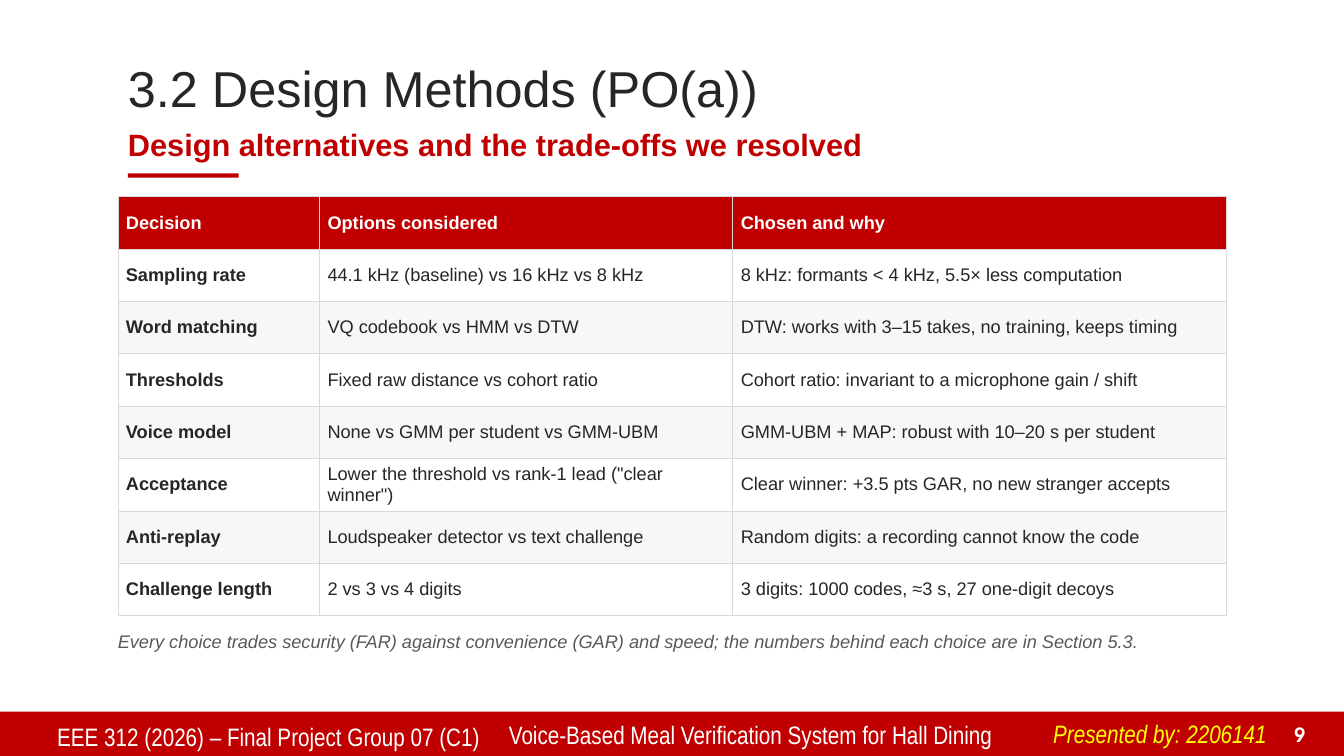
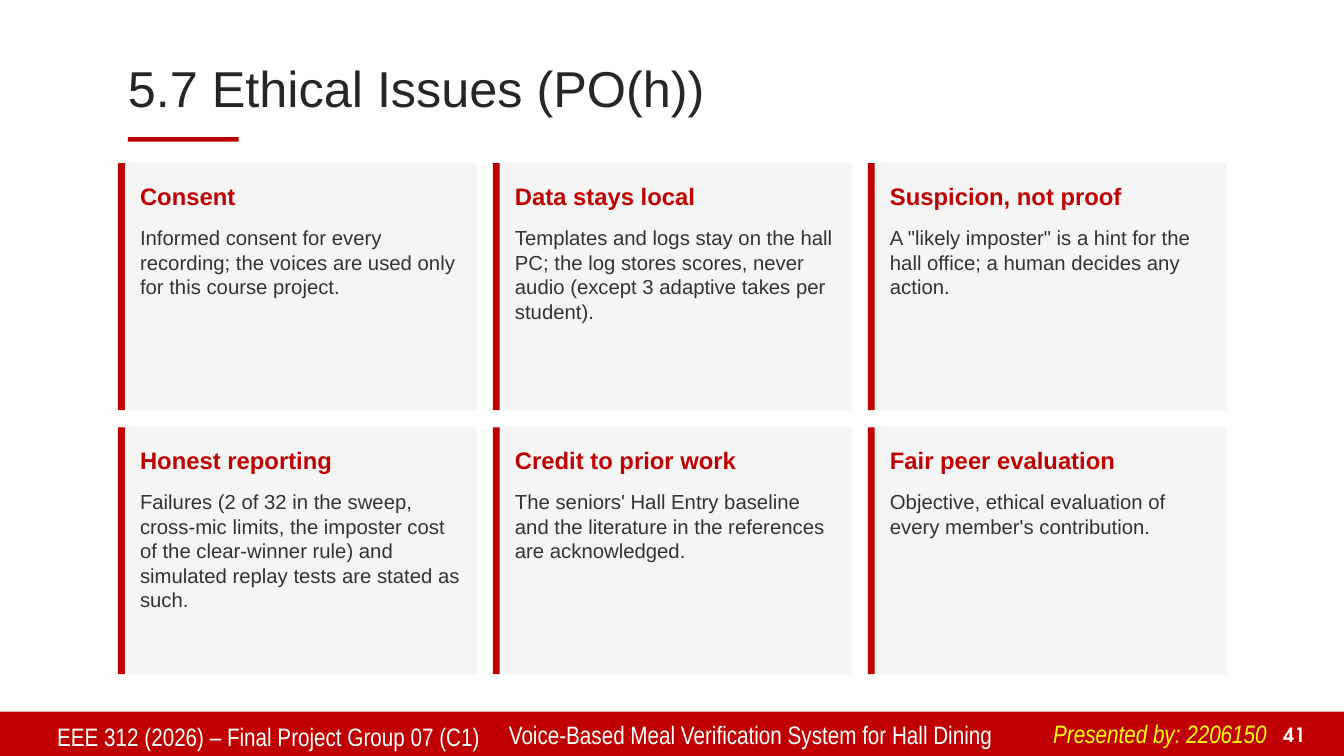
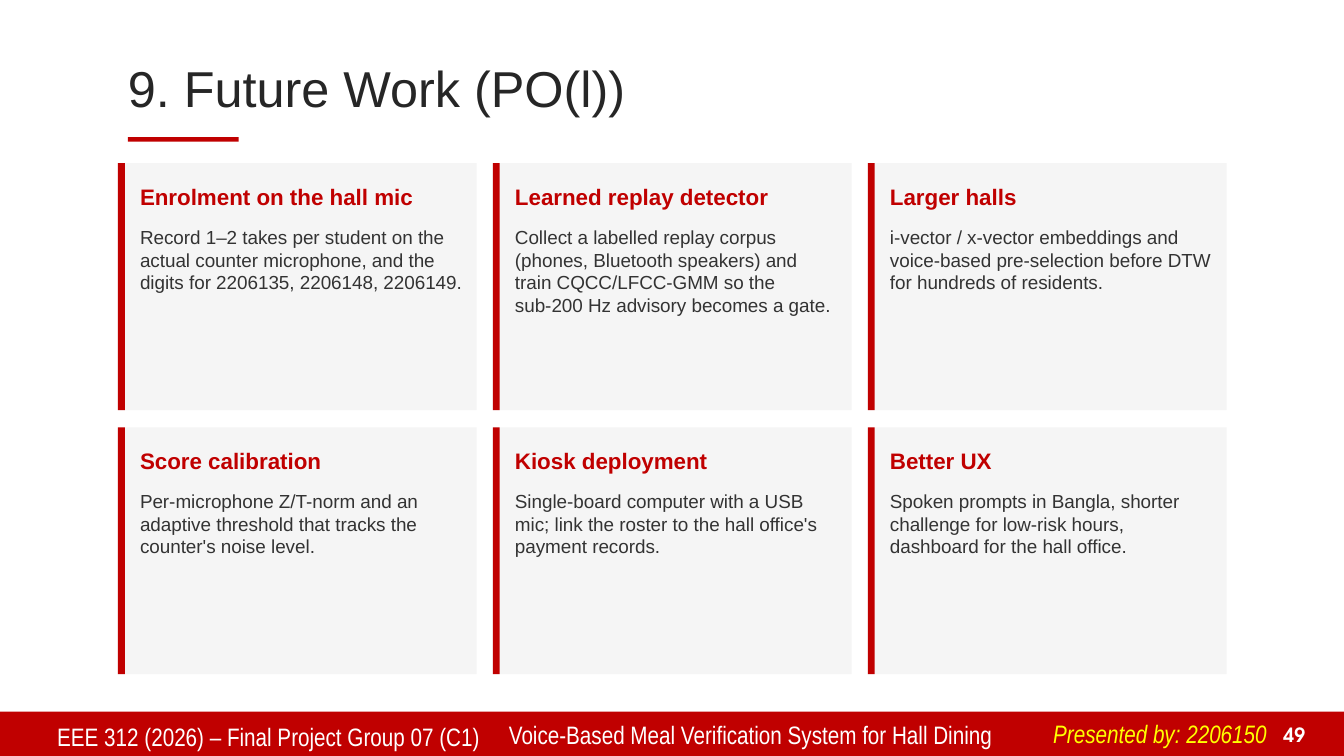
import dataclasses

import pptx
import pptx.dml.color
import pptx.enum.shapes
import pptx.enum.text
import pptx.oxml
import pptx.oxml.ns
import pptx.util

Pt = pptx.util.Pt
ALIGN = pptx.enum.text.PP_ALIGN
ANCHOR = pptx.enum.text.MSO_ANCHOR
AUTO = pptx.enum.text.MSO_AUTO_SIZE


@dataclasses.dataclass(frozen=True)
class Theme:
    # Colours
    red: str = "C00000"
    white: str = "FFFFFF"
    yellow: str = "FFFF00"
    ink: str = "262626"
    body: str = "333333"
    muted: str = "595959"
    card: str = "F5F5F5"
    stripe: str = "F7F7F7"
    rule: str = "D9D9D9"
    # Fonts
    font: str = "Arial"
    footer_font: str = "Arial Narrow"
    number_font: str = "TeX Gyre Adventor"
    # Type sizes
    title_size: float = 36
    subtitle_size: float = 22
    footer_size: float = 18
    number_size: float = 14
    table_size: float = 13


@dataclasses.dataclass(frozen=True)
class Box:
    x: float
    y: float
    w: float
    h: float

    def inner(self, dx, dy, w, h):
        return Box(self.x + dx, self.y + dy, w, h)

    def lengths(self):
        return Pt(self.x), Pt(self.y), Pt(self.w), Pt(self.h)


THEME = Theme()
PAGE = Box(0, 0, 960, 540)
HEADER = Box(84.2, 36, 792, 57.6)
FOOTER = Box(0, 508.3, 960, 32)
TABLE = Box(84.2, 140.4, 792, 299.5)
CARDS = Box(84.2, 116.6, 792, 365)

COURSE = "EEE 312 (2026) – Final Project Group 07 (C1)"
PROJECT = "Voice-Based Meal Verification System for Hall Dining"

DECISION_WIDTHS = (144, 295.2, 352.8)
DECISIONS = [
    ("Decision", "Options considered", "Chosen and why"),
    ("Sampling rate", "44.1 kHz (baseline) vs 16 kHz vs 8 kHz",
     "8 kHz: formants < 4 kHz, 5.5× less computation"),
    ("Word matching", "VQ codebook vs HMM vs DTW",
     "DTW: works with 3–15 takes, no training, keeps timing"),
    ("Thresholds", "Fixed raw distance vs cohort ratio",
     "Cohort ratio: invariant to a microphone gain / shift"),
    ("Voice model", "None vs GMM per student vs GMM-UBM",
     "GMM-UBM + MAP: robust with 10–20 s per student"),
    ("Acceptance", 'Lower the threshold vs rank-1 lead ("clear winner")',
     "Clear winner: +3.5 pts GAR, no new stranger accepts"),
    ("Anti-replay", "Loudspeaker detector vs text challenge",
     "Random digits: a recording cannot know the code"),
    ("Challenge length", "2 vs 3 vs 4 digits",
     "3 digits: 1000 codes, ≈3 s, 27 one-digit decoys"),
]
TRADE_OFF_NOTE = ("Every choice trades security (FAR) against convenience (GAR) and speed; "
                  "the numbers behind each choice are in Section 5.3.")

ETHICS = [
    ("Consent", "Informed consent for every recording; the voices are used only "
                "for this course project."),
    ("Data stays local", "Templates and logs stay on the hall PC; the log stores scores, "
                         "never audio (except 3 adaptive takes per student)."),
    ("Suspicion, not proof", 'A "likely imposter" is a hint for the hall office; '
                             "a human decides any action."),
    ("Honest reporting", "Failures (2 of 32 in the sweep, cross-mic limits, the imposter cost "
                         "of the clear-winner rule) and simulated replay tests are stated "
                         "as such."),
    ("Credit to prior work", "The seniors' Hall Entry baseline and the literature in the "
                             "references are acknowledged."),
    ("Fair peer evaluation", "Objective, ethical evaluation of every member's contribution."),
]

FUTURE_WORK = [
    ("Enrolment on the hall mic", "Record 1–2 takes per student on the actual counter "
                                  "microphone, and the digits for 2206135, 2206148, 2206149."),
    ("Learned replay detector", "Collect a labelled replay corpus (phones, Bluetooth speakers) "
                                "and train CQCC/LFCC-GMM so the sub-200 Hz advisory becomes "
                                "a gate."),
    ("Larger halls", "i-vector / x-vector embeddings and voice-based pre-selection before DTW "
                     "for hundreds of residents."),
    ("Score calibration", "Per-microphone Z/T-norm and an adaptive threshold that tracks the "
                          "counter's noise level."),
    ("Kiosk deployment", "Single-board computer with a USB mic; link the roster to the hall "
                         "office's payment records."),
    ("Better UX", "Spoken prompts in Bangla, shorter challenge for low-risk hours, dashboard "
                  "for the hall office."),
]


def rgb(color):
    return pptx.dml.color.RGBColor.from_string(color)


def write(tf, text, *, size, color=THEME.ink, font=THEME.font, bold=False, italic=False,
          align=ALIGN.LEFT, after=0, line=None):
    p = tf.paragraphs[0]
    p.alignment = align
    p.space_after = Pt(after)
    if line:
        p.line_spacing = line
    r = p.add_run()
    r.text = text
    r.font.name = font
    r.font.size = Pt(size)
    r.font.bold = bold
    r.font.italic = italic
    r.font.color.rgb = rgb(color)


def add_text(slide, box, text, *, anchor=ANCHOR.TOP, inset=(0, 0), wrap=True,
             auto=AUTO.NONE, **fmt):
    tf = slide.shapes.add_textbox(*box.lengths()).text_frame
    tf.word_wrap = wrap
    tf.auto_size = auto
    tf.vertical_anchor = anchor
    tf.margin_left = tf.margin_right = Pt(inset[0])
    tf.margin_top = tf.margin_bottom = Pt(inset[1])
    write(tf, text, **fmt)


def add_rect(slide, box, color):
    sp = slide.shapes.add_shape(pptx.enum.shapes.MSO_SHAPE.RECTANGLE, *box.lengths())
    sp.shadow.inherit = False
    sp.fill.solid()
    sp.fill.fore_color.rgb = rgb(color)
    sp.line.fill.background()


def set_borders(cell, color, width):
    tc_pr = cell._tc.get_or_add_tcPr()
    # Borders come before the fill in the cell's properties
    for i, side in enumerate(("lnL", "lnR", "lnT", "lnB")):
        tc_pr.insert(i, pptx.oxml.parse_xml(
            f'<a:{side} {pptx.oxml.ns.nsdecls("a")} w="{Pt(width)}">'
            f'<a:solidFill><a:srgbClr val="{color}"/></a:solidFill></a:{side}>'))


def add_header(slide, box, title, subtitle=None):
    sp = slide.shapes.title
    sp.left, sp.top, sp.width, sp.height = box.lengths()
    tf = sp.text_frame
    tf.auto_size = AUTO.NONE
    tf.vertical_anchor = ANCHOR.MIDDLE
    write(tf, title, size=THEME.title_size, line=0.9)
    if subtitle:
        add_text(slide, box.inner(7.2, 50.4, 784.8, 33.1), subtitle, anchor=ANCHOR.MIDDLE,
                 size=THEME.subtitle_size, color=THEME.red, bold=True, after=6)
    # Short accent rule
    add_rect(slide, box.inner(7.2, 87.8 if subtitle else 61.9, 79.2, 3.2), THEME.red)


def add_footer(slide, box, presenter, number):
    add_rect(slide, box, THEME.red)
    fmt = dict(inset=(7.2, 3.6), size=THEME.footer_size, font=THEME.footer_font)
    add_text(slide, box.inner(33.8, 3.6, 320.4, 28), COURSE, color=THEME.white, **fmt)
    add_text(slide, box.inner(356.4, 2.2, 385.2, 29.5), PROJECT, color=THEME.white, **fmt)
    add_text(slide, box.inner(745.2, 1.4, 174.2, 29), f"Presented by: {presenter}",
             color=THEME.yellow, italic=True, wrap=False, auto=AUTO.SHAPE_TO_FIT_TEXT, **fmt)
    add_text(slide, box.inner(898.6, 3.6, 41, 24.5), str(number), anchor=ANCHOR.BOTTOM,
             inset=(7.2, 3.6), size=THEME.number_size, font=THEME.number_font,
             color=THEME.white, bold=True, align=ALIGN.RIGHT)


def add_decision_table(slide, box, rows, widths):
    frame = slide.shapes.add_table(len(rows), len(widths), *box.lengths())
    table = frame.table
    table.horz_banding = False
    for column, width in zip(table.columns, widths):
        column.width = Pt(width)
    for i, row in enumerate(rows):
        table.rows[i].height = Pt(box.h / len(rows))
        header = i == 0
        fill = THEME.red if header else THEME.white if i % 2 else THEME.stripe
        for j, text in enumerate(row):
            cell = table.cell(i, j)
            cell.fill.solid()
            cell.fill.fore_color.rgb = rgb(fill)
            cell.vertical_anchor = ANCHOR.MIDDLE
            cell.margin_left = cell.margin_right = Pt(5.76)
            cell.margin_top = cell.margin_bottom = Pt(2.88)
            set_borders(cell, THEME.rule, 0.5)
            write(cell.text_frame, text, size=THEME.table_size, bold=header or j == 0,
                  color=THEME.white if header else THEME.ink)


def add_card(slide, box, heading, text, heading_size, text_size):
    add_rect(slide, box, THEME.card)
    add_rect(slide, box.inner(0, 0, 5, box.h), THEME.red)
    width = box.w - 25.9
    add_text(slide, box.inner(15.8, 8.6, width, 30.2), heading, anchor=ANCHOR.MIDDLE,
             size=heading_size, color=THEME.red, bold=True, after=6)
    add_text(slide, box.inner(15.8, 44.6, width, box.h - 51.8), text,
             size=text_size, color=THEME.body, after=4)


def add_card_grid(slide, box, cards, heading_size, text_size, columns=3, gaps=(11.5, 12.2)):
    rows = -(-len(cards) // columns)
    w = (box.w - gaps[0] * (columns - 1)) / columns
    h = (box.h - gaps[1] * (rows - 1)) / rows
    for i, (heading, text) in enumerate(cards):
        row, column = divmod(i, columns)
        cell = box.inner(column * (w + gaps[0]), row * (h + gaps[1]), w, h)
        add_card(slide, cell, heading, text, heading_size, text_size)


def new_slide(prs, title, presenter, number, subtitle=None):
    slide = prs.slides.add_slide(prs.slide_layouts.get_by_name("Title Only"))
    add_footer(slide, FOOTER, presenter, number)
    add_header(slide, HEADER, title, subtitle)
    return slide


def main():
    prs = pptx.Presentation()
    prs.slide_width, prs.slide_height = Pt(PAGE.w), Pt(PAGE.h)

    # Design methods
    slide = new_slide(prs, "3.2 Design Methods (PO(a))", "2206141", 9,
                      "Design alternatives and the trade-offs we resolved")
    add_decision_table(slide, TABLE, DECISIONS, DECISION_WIDTHS)
    add_text(slide, TABLE.inner(0, TABLE.h + 10.1, TABLE.w, 36), TRADE_OFF_NOTE,
             size=THEME.table_size, color=THEME.muted, italic=True, after=6)

    # Ethical issues
    slide = new_slide(prs, "5.7 Ethical Issues (PO(h))", "2206150", 41)
    add_card_grid(slide, CARDS, ETHICS, heading_size=17, text_size=14.5)

    # Future work
    slide = new_slide(prs, "9. Future Work (PO(l))", "2206150", 49)
    add_card_grid(slide, CARDS, FUTURE_WORK, heading_size=16, text_size=13.5)

    prs.save("out.pptx")


if __name__ == "__main__":
    main()
